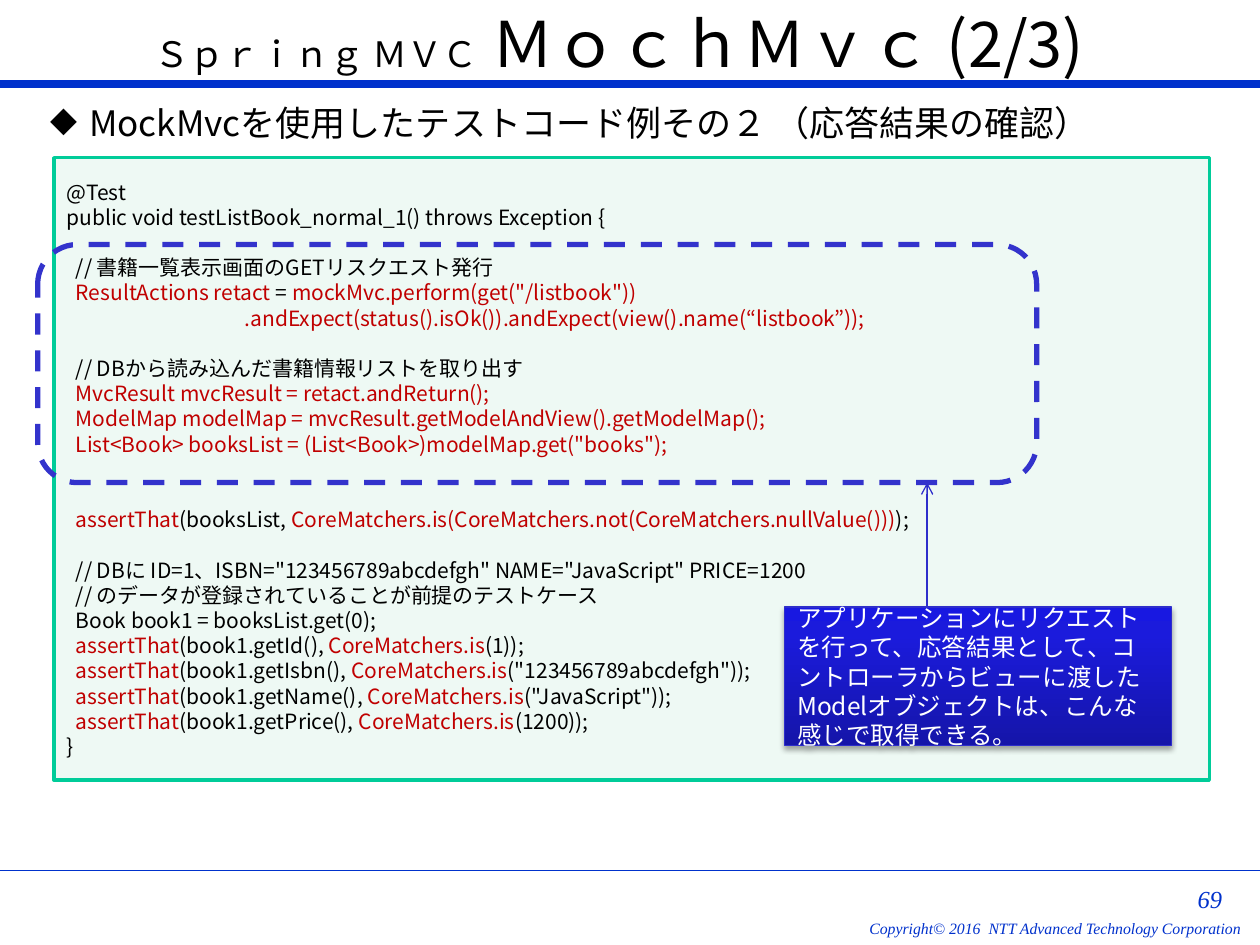
from pptx import Presentation
from pptx import util as u
from pptx.dml.color import RGBColor
from pptx.enum import dml, shapes, text
from pptx.oxml import parse_xml
from pptx.oxml.ns import nsdecls, qn
from lxml import etree

COLORS = {"black": "000000", "white": "FFFFFF", "red": "C00000",
          "rule": "0031CC", "code_fill": "EEF9F4", "code_line": "00CC99",
          "note_line": "2E2ECB", "frame": "3333CC"}
NOTE_STOPS = [(0, "1515A9"), (80, "1B1BDC"), (100, "1818E1")]
SANS, SERIF = "Noto Sans CJK JP", "Times New Roman"
LEADING = 1.2
ALIGN, ANCHOR = text.PP_ALIGN, text.MSO_ANCHOR

# Odd pieces between bars are red; the number is the blank lines above
CODE = [
    (0, "@Test"),
    (0, "public void testListBook_normal_1() throws Exception {"),
    (1, "  // 書籍一覧表示画面のGETリスクエスト発行"),
    (0, "  |ResultActions retact |= |mockMvc.perform(get(\"/listbook\"))"),
    (0, "|" + " " * 38 + ".andExpect(status().isOk()).andExpect(view().name(“listbook”));"),
    (1, "  // DBから読み込んだ書籍情報リストを取り出す"),
    (0, "  |MvcResult mvcResult = retact.andReturn();"),
    (0, "  |ModelMap modelMap = mvcResult.getModelAndView().getModelMap();"),
    (0, "  |List<Book> booksList = (List<Book>)modelMap.get(\"books\");"),
    (2, "  |assertThat|(booksList, |CoreMatchers.is(CoreMatchers.not(CoreMatchers.nullValue()))|);"),
    (1, "  // DBに ID=1、ISBN=\"123456789abcdefgh\" NAME=\"JavaScript\" PRICE=1200"),
    (0, "  // のデータが登録されていることが前提のテストケース"),
    (0, "  Book book1 = booksList.get(0);"),
    *[(0, f"  |assertThat|(book1.get{field}(), |CoreMatchers.is|({value}));")
      for field, value in [("Id", "1"), ("Isbn", '"123456789abcdefgh"'),
                           ("Name", '"JavaScript"'), ("Price", "1200")]],
    (0, "}"),
]


def rgb(name):
    return RGBColor.from_string(COLORS[name])


class Deck:
    def __init__(self):
        self.prs = Presentation()
        self.prs.slide_width, self.prs.slide_height = u.Cm(25.4), u.Cm(19.05)
        self.s = self.prs.slides.add_slide(self.prs.slide_layouts[6])

    def run(self, p, words, size, color="black", font=SANS, italic=False):
        r = p.add_run()
        r.text = words
        fmt = {"name": font, "size": u.Pt(size), "italic": italic}
        for key, value in fmt.items():
            setattr(r.font, key, value)
        r.font.color.rgb = rgb(color)
        etree.SubElement(r.font._element, qn("a:ea")).set("typeface", font)

    def frame(self, sp, inset=True, **fmt):
        tf = sp.text_frame
        settings = {"word_wrap": True, "vertical_anchor": ANCHOR.MIDDLE}
        if not inset:
            settings.update(dict.fromkeys(
                ["margin_left", "margin_top", "margin_right", "margin_bottom"], 0))
        settings.update(fmt)
        for key, value in settings.items():
            setattr(tf, key, value)
        return tf

    def textbox(self, box, align, **fmt):
        sp = self.s.shapes.add_textbox(*map(u.Cm, box))
        p = self.frame(sp, **fmt).paragraphs[0]
        p.alignment = align
        return p

    def shape(self, kind, box, line, width, fill=None):
        sp = self.s.shapes.add_shape(kind, *map(u.Cm, box))
        sp.shadow.inherit = False
        sp.line.color.rgb, sp.line.width = rgb(line), u.Pt(width)
        if fill:
            sp.fill.solid()
            sp.fill.fore_color.rgb = rgb(fill)
        else:
            sp.fill.background()
        return sp

    def line(self, x1, y1, x2, y2, color, width, arrow=False):
        c = self.s.shapes.add_connector(
            shapes.MSO_CONNECTOR.STRAIGHT, *map(u.Cm, (x1, y1, x2, y2)))
        c.line.color.rgb, c.line.width = rgb(color), u.Pt(width)
        if arrow:
            etree.SubElement(c.line._get_or_add_ln(), qn("a:tailEnd")).set("type", "arrow")
        etree.SubElement(c._element.spPr, qn("a:effectLst"))

    def bullet(self, p, char, indent):
        pPr = p._p.get_or_add_pPr()
        pPr.set("marL", str(indent))
        pPr.set("indent", str(-indent))
        etree.SubElement(pPr, qn("a:buChar")).set("char", char)

    def code(self, box, lines, size):
        sp = self.shape(shapes.MSO_SHAPE.RECTANGLE, box, "code_line", 2, "code_fill")
        tf = self.frame(sp)
        pitch = size * LEADING
        for i, (gap, source) in enumerate(lines):
            p = tf.add_paragraph() if i else tf.paragraphs[0]
            fmt = {"alignment": ALIGN.LEFT, "line_spacing": u.Pt(pitch),
                   "space_before": u.Pt(gap * pitch)}
            for key, value in fmt.items():
                setattr(p, key, value)
            for k, piece in enumerate(source.split("|")):
                if piece:
                    self.run(p, piece, size, "red" if k % 2 else "black")

    def note(self, box, words, size):
        sp = self.shape(shapes.MSO_SHAPE.RECTANGLE, box, "note_line", 0.75)
        sp.fill.gradient()
        sp.fill.gradient_angle = 90
        stops = "".join(f'<a:gs pos="{pos * 1000}"><a:srgbClr val="{c}"/></a:gs>'
                        for pos, c in NOTE_STOPS)
        old = sp._element.spPr.find(".//" + qn("a:gsLst"))
        old.getparent().replace(
            old, parse_xml(f'<a:gsLst {nsdecls("a")}>{stops}</a:gsLst>'))
        sp._element.spPr.find(qn("a:effectLst")).append(parse_xml(
            f'<a:outerShdw {nsdecls("a")} blurRad="{u.Pt(3.1)}" dist="{u.Pt(1.8)}" '
            'dir="5400000" rotWithShape="0"><a:srgbClr val="000000">'
            '<a:alpha val="35000"/></a:srgbClr></a:outerShdw>'))
        p = self.frame(sp).paragraphs[0]
        p.alignment, p.line_spacing = ALIGN.LEFT, u.Pt(size * LEADING)
        self.run(p, words, size, "white")


def main():
    d = Deck()

    # Header and footer rules
    d.line(0, 1.7, 25.4, 1.7, "rule", 4.5)
    d.line(0, 17.55, 25.4, 17.55, "rule", 0.75)

    # Footer
    p = d.textbox((17.42, 18.52, 7.59, 0.38), ALIGN.RIGHT, inset=False,
                  word_wrap=False, vertical_anchor=ANCHOR.TOP)
    d.run(p, "Copyright© 2016  NTT Advanced Technology Corporation", 9, "rule", SERIF, True)
    p = d.textbox((23.57, 17.91, 1.07, 0.43), ALIGN.RIGHT, inset=False)
    d.run(p, "69", 14, "rule", SERIF, True)

    # Title
    p = d.textbox((1.9, 0, 21.16, 1.7), ALIGN.CENTER)
    d.run(p, "Ｓｐｒｉｎｇ ＭＶＣ", 20)
    d.run(p, " ＭｏｃｈＭｖｃ (2/3)", 36)

    # Code listing
    d.code((1.09, 3.18, 23.29, 12.55), CODE, 12)

    # Heading
    p = d.textbox((0.76, 1.93, 23.62, 1.12), ALIGN.LEFT, vertical_anchor=ANCHOR.TOP)
    p.line_spacing = u.Pt(20 * LEADING)
    d.bullet(p, "◆", u.Cm(0.79))
    d.run(p, "MockMvcを使用したテストコード例その２ （応答結果の確認）", 20)

    # Note, its arrow and the dashed frame it points to
    d.note((15.82, 12.24, 7.8, 2.79),
           "アプリケーションにリクエストを行って、応答結果として、コントローラから"
           "ビューに渡したModelオブジェクトは、こんな感じで取得できる。", 14)
    d.line(18.69, 12.24, 18.69, 9.73, "note_line", 0.75, arrow=True)
    sp = d.shape(shapes.MSO_SHAPE.ROUNDED_RECTANGLE, (0.76, 4.93, 20.14, 4.8), "frame", 3)
    sp.line.dash_style = dml.MSO_LINE.DASH

    d.prs.save("out.pptx")


if __name__ == "__main__":
    main()
